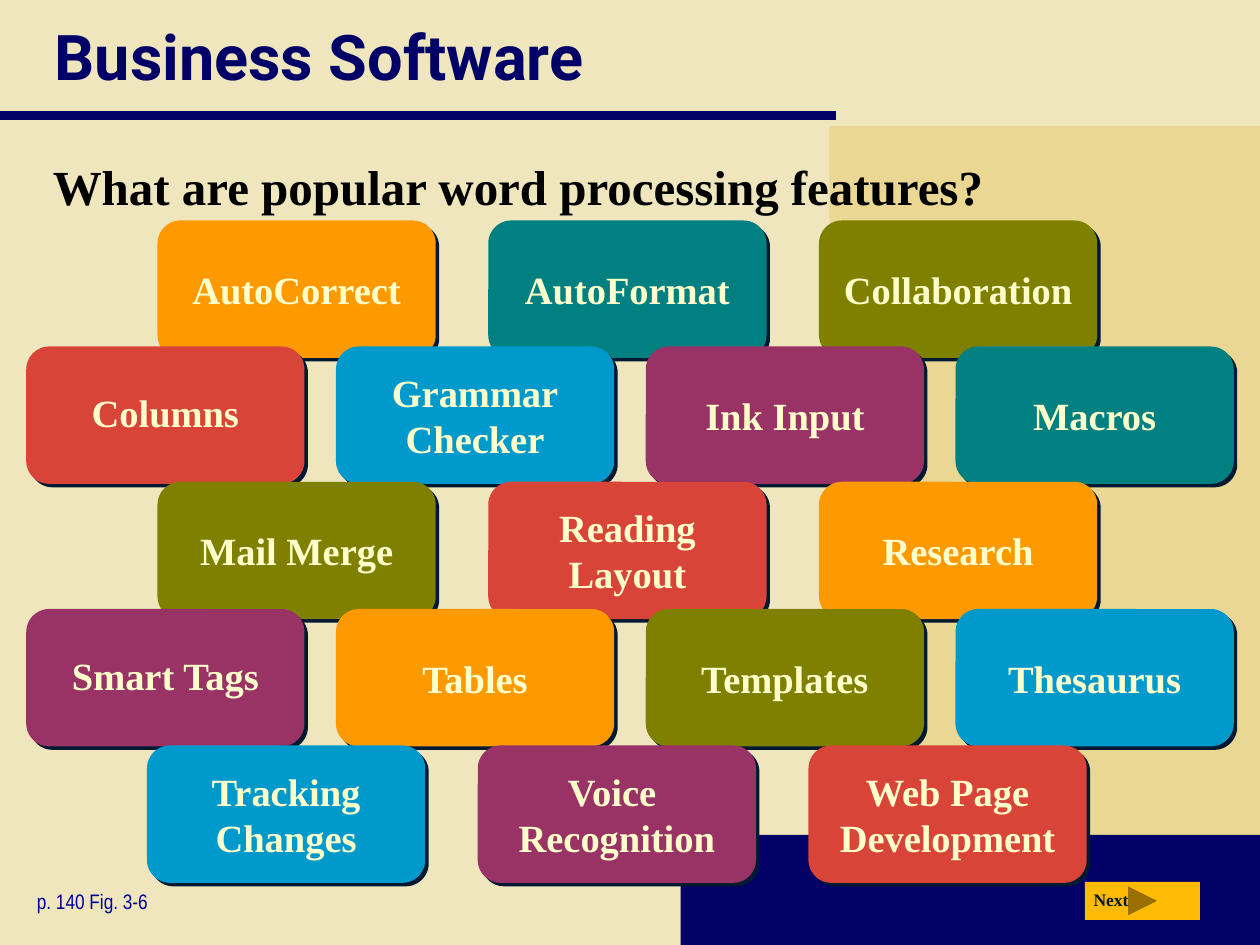
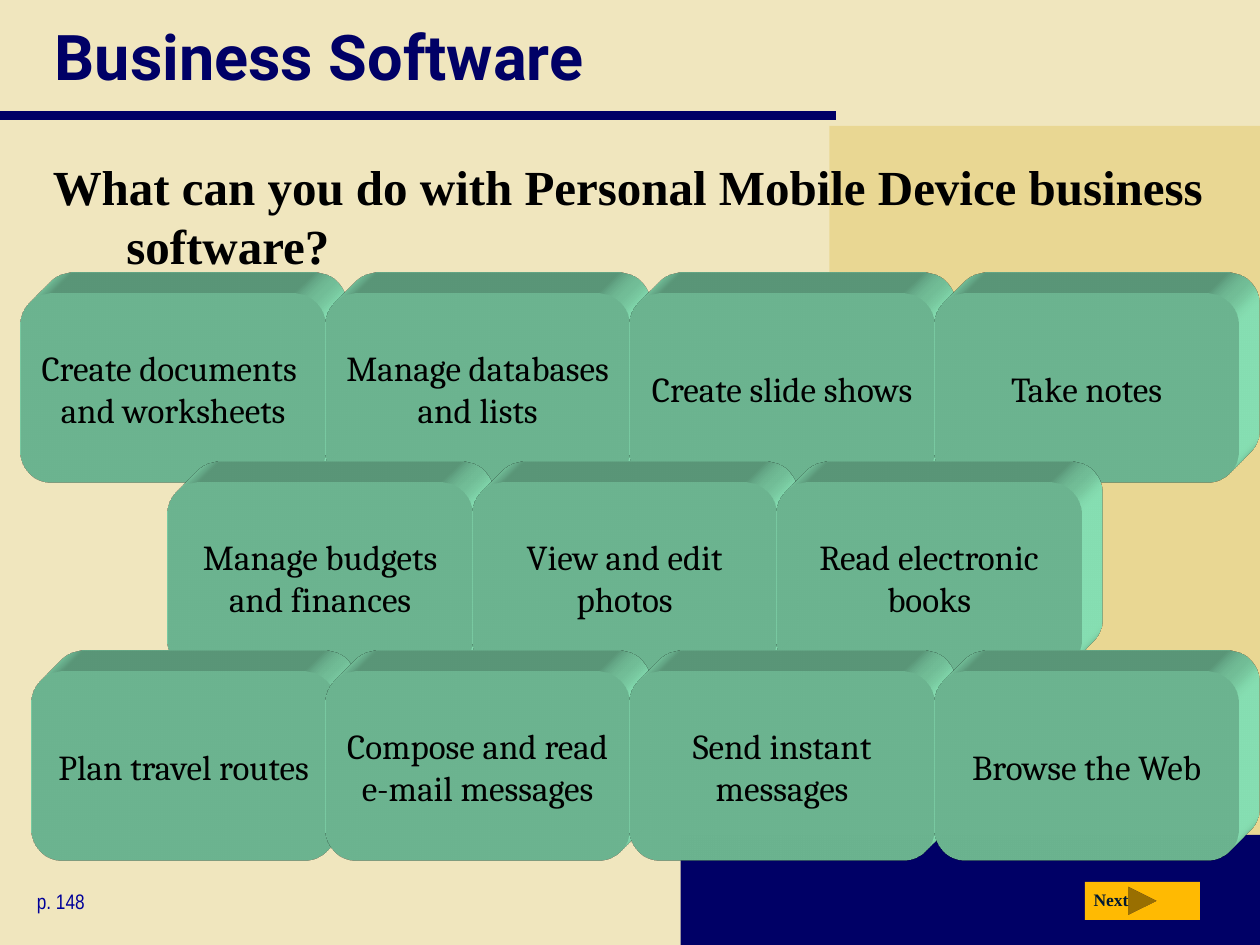
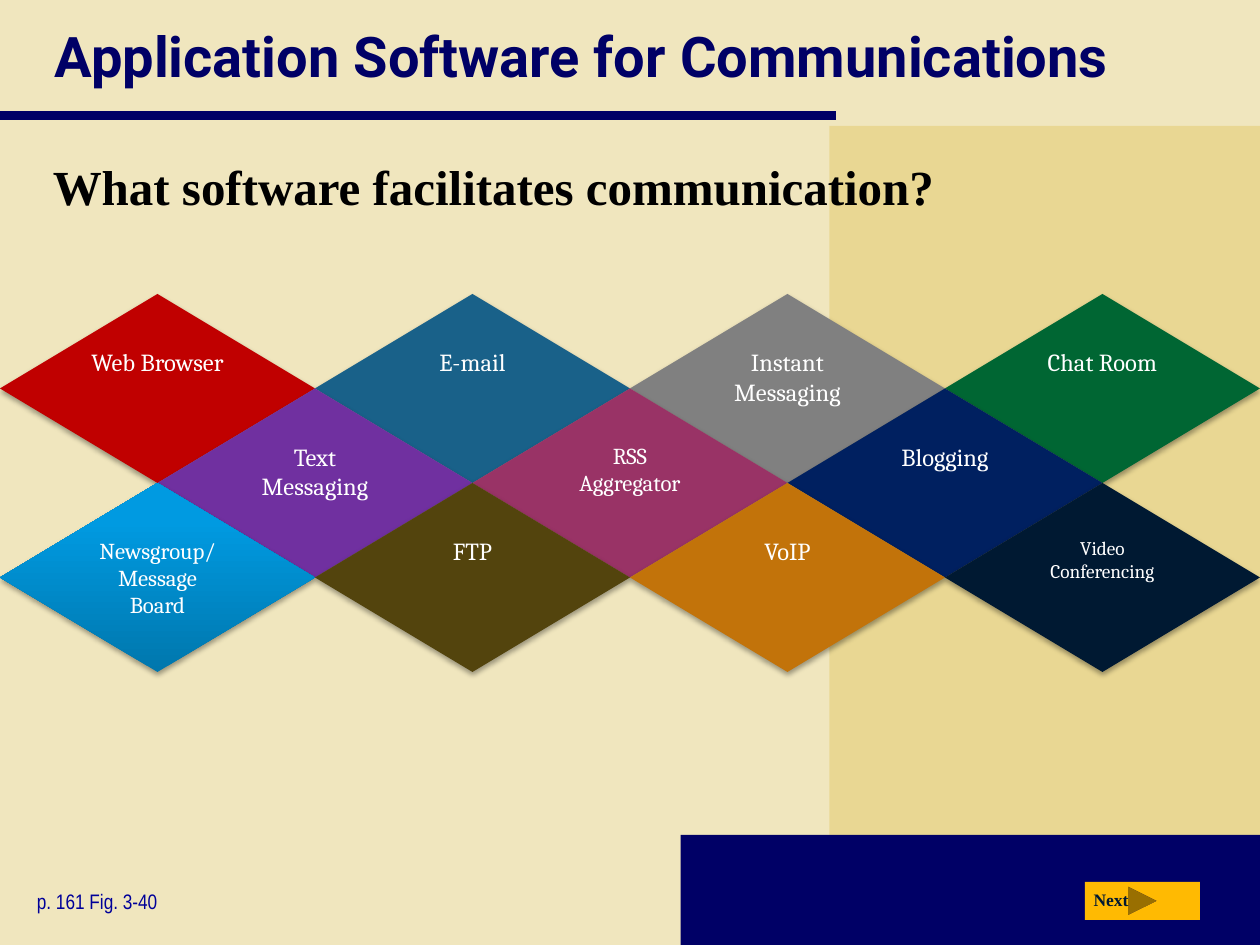
from lxml import etree
from pptx import Presentation
from pptx.dml.color import RGBColor
from pptx.enum.shapes import MSO_CONNECTOR, MSO_SHAPE
from pptx.enum.text import MSO_ANCHOR, MSO_AUTO_SIZE as AUTO_SIZE, PP_ALIGN
from pptx.oxml import parse_xml
from pptx.oxml.ns import nsdecls, qn
from pptx.util import Pt

# Colours
CREAM = RGBColor(0xF0, 0xE6, 0xBE)
SAND = RGBColor(0xE9, 0xD7, 0x93)
NAVY = RGBColor(0x00, 0x00, 0x66)
PAGE_BLUE = RGBColor(0x00, 0x00, 0x99)
INK = RGBColor(0x00, 0x19, 0x32)
BLACK = RGBColor(0x00, 0x00, 0x00)
WHITE = RGBColor(0xFF, 0xFF, 0xFF)
PALE_YELLOW = RGBColor(0xFF, 0xFF, 0xCC)
AMBER = RGBColor(0xFF, 0xBA, 0x02)
ORANGE = RGBColor(0xFF, 0x99, 0x00)
TEAL = RGBColor(0x00, 0x80, 0x80)
OLIVE = RGBColor(0x80, 0x80, 0x00)
RED = RGBColor(0xD9, 0x44, 0x39)
SKY = RGBColor(0x00, 0x99, 0xCC)
PLUM = RGBColor(0x99, 0x33, 0x66)
MINT = RGBColor(0x99, 0xFF, 0xCC)
CRIMSON = RGBColor(0xC0, 0x00, 0x00)
STEEL = RGBColor(0x19, 0x61, 0x89)
GRAY = RGBColor(0x80, 0x80, 0x80)
GREEN = RGBColor(0x00, 0x66, 0x33)
PURPLE = RGBColor(0x70, 0x30, 0xA0)
MIDNIGHT = RGBColor(0x00, 0x20, 0x60)
BROWN = RGBColor(0x53, 0x44, 0x0D)
COPPER = RGBColor(0xC2, 0x73, 0x0A)
DEEP_AZURE = RGBColor(0x00, 0x77, 0xAD)
AZURE = RGBColor(0x00, 0x9A, 0xE1)

SERIF, HEADING, NARROW, CAMBRIA = "Times New Roman", "Roboto", "Arial Narrow", "Cambria"


def write(shape, text, *, size, font, color, bold=False, align=PP_ALIGN.LEFT,
          anchor=MSO_ANCHOR.TOP, wrap=True, inset=None, auto_size=AUTO_SIZE.NONE,
          line_spacing=None, hanging=None):
    """Put one formatted paragraph into a shape; line feeds become line breaks."""
    frame = shape.text_frame
    frame.word_wrap, frame.auto_size, frame.vertical_anchor = wrap, auto_size, anchor
    if inset is not None:
        frame.margin_left = frame.margin_right = Pt(inset)
        frame.margin_top = frame.margin_bottom = Pt(inset)
    paragraph = frame.paragraphs[0]
    paragraph.text = text
    if hanging is not None:
        properties = paragraph._p.get_or_add_pPr()
        properties.set("marL", str(Pt(hanging)))
        properties.set("indent", str(-Pt(hanging)))
        etree.SubElement(properties, qn("a:buNone"))
    paragraph.alignment = align
    paragraph.space_before = Pt(0)
    if line_spacing:
        paragraph.line_spacing = line_spacing
    for run in paragraph.runs:
        run.font.size, run.font.name, run.font.bold = Pt(size), font, bold
        run.font.color.rgb = color


class Deck:
    """Shared style plus the slide being drawn."""

    def __init__(self):
        self.presentation = Presentation()
        self.presentation.slide_width, self.presentation.slide_height = Pt(720), Pt(540)
        self.slide = None

    def add_slide(self, title, question, page, title_size=36, hanging=0):
        self.slide = self.presentation.slides.add_slide(self.presentation.slide_layouts[1])
        if len(self.presentation.slides) == 1:
            self.decorate_master()
        heading, body = self.slide.placeholders
        self.place(heading, 24, 0, 696, 63)
        write(heading, title, size=title_size, font=HEADING, color=NAVY, bold=True,
              anchor=MSO_ANCHOR.MIDDLE)
        self.place(body, 23, 86, 676, 56)
        write(body, question, size=28, font=SERIF, color=BLACK, bold=True, hanging=hanging)
        self.text(page, 14, 504, 124, 22, size=12, font=NARROW, color=PAGE_BLUE)

    def decorate_master(self):
        """Draw the background parts once and move them to the slide master."""
        master = self.presentation.slide_master
        master.background.fill.solid()
        master.background.fill.fore_color.rgb = CREAM
        parts = [
            self.shape(MSO_SHAPE.RECTANGLE, 474, 72, 246, 468, SAND),
            self.shape(MSO_SHAPE.RECTANGLE, 389, 477, 331, 63, NAVY),
            self.line(0, 66, 478, 66, NAVY, 5),
        ]
        for index, part in enumerate(parts):
            part.element.xpath(".//p:cNvPr")[0].set("id", str(100 + index))
            master.shapes.element.insert(2 + index, part.element)

    @staticmethod
    def place(shape, left, top, width, height):
        shape.left, shape.top, shape.width, shape.height = map(Pt, (left, top, width, height))

    def shape(self, kind, left, top, width, height, fill, shapes=None):
        shapes = self.slide.shapes if shapes is None else shapes
        shape = shapes.add_shape(kind, *map(Pt, (left, top, width, height)))
        shape.shadow.inherit = False
        if isinstance(fill, RGBColor):
            shape.fill.solid()
            shape.fill.fore_color.rgb = fill
        else:
            shape.fill.gradient()
            shape.fill.gradient_angle = 90
            for stop, color, position in zip(shape.fill.gradient_stops, fill, (0, 0.8)):
                stop.color.rgb, stop.position = color, position
        shape.line.fill.background()
        return shape

    def line(self, x1, y1, x2, y2, color, width):
        line = self.slide.shapes.add_connector(
            MSO_CONNECTOR.STRAIGHT, *map(Pt, (x1, y1, x2, y2)))
        line.line.color.rgb, line.line.width = color, Pt(width)
        etree.SubElement(line.element.spPr, qn("a:effectLst"))
        return line

    def text(self, text, left, top, width, height, shapes=None, **style):
        shapes = self.slide.shapes if shapes is None else shapes
        box = shapes.add_textbox(*map(Pt, (left, top, width, height)))
        write(box, text, auto_size=AUTO_SIZE.SHAPE_TO_FIT_TEXT, **style)

    @staticmethod
    def cast_shadow(shape, color, opacity, blur, distance, angle):
        effects = shape.element.spPr.find(qn("a:effectLst"))
        effects.append(parse_xml(
            f'<a:outerShdw {nsdecls("a")} blurRad="{Pt(blur)}" dist="{Pt(distance)}" '
            f'dir="{angle * 60000}" algn="ctr" rotWithShape="0"><a:srgbClr val="{color}">'
            f'<a:alpha val="{opacity * 1000}"/></a:srgbClr></a:outerShdw>'))

    @staticmethod
    def extrude(shape, color):
        properties = shape.element.spPr
        properties.append(parse_xml(
            f'<a:scene3d {nsdecls("a")}><a:camera prst="legacyObliqueTopRight"/>'
            '<a:lightRig rig="legacyFlat3" dir="b"/></a:scene3d>'))
        properties.append(parse_xml(
            f'<a:sp3d {nsdecls("a")} extrusionH="430200" prstMaterial="legacyMatte">'
            '<a:bevelT w="13500" h="13500" prst="angle"/>'
            '<a:bevelB w="13500" h="13500" prst="angle"/>'
            f'<a:extrusionClr><a:srgbClr val="{color}"/></a:extrusionClr></a:sp3d>'))

    def feature(self, text, left, top, fill, line_spacing=None):
        card = self.shape(MSO_SHAPE.ROUNDED_RECTANGLE, left, top, 159, 78.5, fill)
        self.cast_shadow(card, INK, 100, 0, 2.8, 45)
        write(card, text, size=22, font=SERIF, color=PALE_YELLOW, bold=True,
              align=PP_ALIGN.CENTER, anchor=MSO_ANCHOR.MIDDLE, wrap=False, inset=0,
              line_spacing=line_spacing)

    def block(self, text, left, top):
        block = self.shape(MSO_SHAPE.ROUNDED_RECTANGLE, left, top, 174, 108, MINT)
        self.extrude(block, MINT)
        write(block, text, size=20, font=CAMBRIA, color=BLACK, align=PP_ALIGN.CENTER,
              anchor=MSO_ANCHOR.MIDDLE, wrap=False)

    def diamond(self, text, left, top, fill, size=14):
        diamond = self.shape(MSO_SHAPE.DIAMOND, left, top, 180, 108, fill)
        self.cast_shadow(diamond, BLACK, 35, 3.1, 1.8, 90)
        write(diamond, text, size=size, font=CAMBRIA, color=WHITE, align=PP_ALIGN.CENTER)

    def next_button(self):
        shapes = self.slide.shapes.add_group_shape().shapes
        self.shape(MSO_SHAPE.ACTION_BUTTON_FORWARD_OR_NEXT, 620, 504, 65.7, 21.6, AMBER, shapes)
        self.text("Next", 617.8, 504.7, 36.7, 19.4, shapes, size=10, font=SERIF,
                  color=INK, bold=True)


def word_processing_slide(deck):
    deck.add_slide("Business Software", "What are popular word processing features?",
                   "p. 140 Fig. 3-6")
    # Rows: top, first left, step, cards
    rows = [
        (126, 90, 189, [("AutoCorrect", ORANGE), ("AutoFormat", TEAL),
                        ("Collaboration", OLIVE)]),
        (198, 15, 177, [("Columns", RED, 0.9), ("Grammar\nChecker", SKY),
                        ("Ink Input", PLUM), ("Macros", TEAL)]),
        (275.3, 90, 189, [("Mail Merge", OLIVE), ("Reading\nLayout", RED),
                          ("Research", ORANGE)]),
        (348, 15, 177, [("Smart Tags", PLUM, 0.9), ("Tables", ORANGE),
                        ("Templates", OLIVE), ("Thesaurus", SKY)]),
        (426, 84, 189, [("Tracking\nChanges", SKY), ("Voice \nRecognition", PLUM),
                        ("Web Page\nDevelopment", RED)]),
    ]
    for top, first, step, cards in rows:
        for column, (text, *style) in enumerate(cards):
            deck.feature(text, first + column * step, top, *style)
    deck.next_button()


def mobile_device_slide(deck):
    deck.add_slide("Business Software",
                   "What can you do with Personal Mobile Device business software?",
                   "p. 148", hanging=42)
    deck.next_button()
    # Rows: lefts, labels
    rows = [
        ((12, 186, 360, 534), ["Create documents \nand worksheets",
                               "Manage databases\nand lists",
                               "Create slide shows", "Take notes"]),
        ((96, 270, 444), ["Manage budgets\nand finances", "View and edit\nphotos",
                          "Read electronic\nbooks"]),
        ((18, 186, 360, 534), ["Plan travel routes", "Compose and read\ne-mail messages",
                               "Send instant\nmessages", "Browse the Web"]),
    ]
    for row, (lefts, labels) in enumerate(rows):
        for left, label in zip(lefts, labels):
            deck.block(label, left, 168 + row * 108)


def communications_slide(deck):
    deck.add_slide("Application Software for Communications",
                   "What software facilitates communication?", "p. 161 Fig. 3-40",
                   title_size=32, hanging=42)
    deck.next_button()
    # Rows interlock: the middle one is shifted by half a diamond
    rows = [
        [("Web Browser", CRIMSON), ("E-mail", STEEL), ("Instant Messaging", GRAY),
         ("Chat Room", GREEN)],
        [("Text Messaging", PURPLE), ("RSS Aggregator", PLUM, 13), ("Blogging", MIDNIGHT)],
        [("Newsgroup/Message Board", (DEEP_AZURE, AZURE), 13), ("FTP", BROWN),
         ("VoIP", COPPER), ("Video Conferencing", INK, 11)],
    ]
    for row, diamonds in enumerate(rows):
        for column, (text, *style) in enumerate(diamonds):
            deck.diamond(text, row % 2 * 90 + column * 180, 168 + row * 54, *style)


def main():
    deck = Deck()
    word_processing_slide(deck)
    mobile_device_slide(deck)
    communications_slide(deck)
    deck.presentation.save("out.pptx")


if __name__ == "__main__":
    main()
